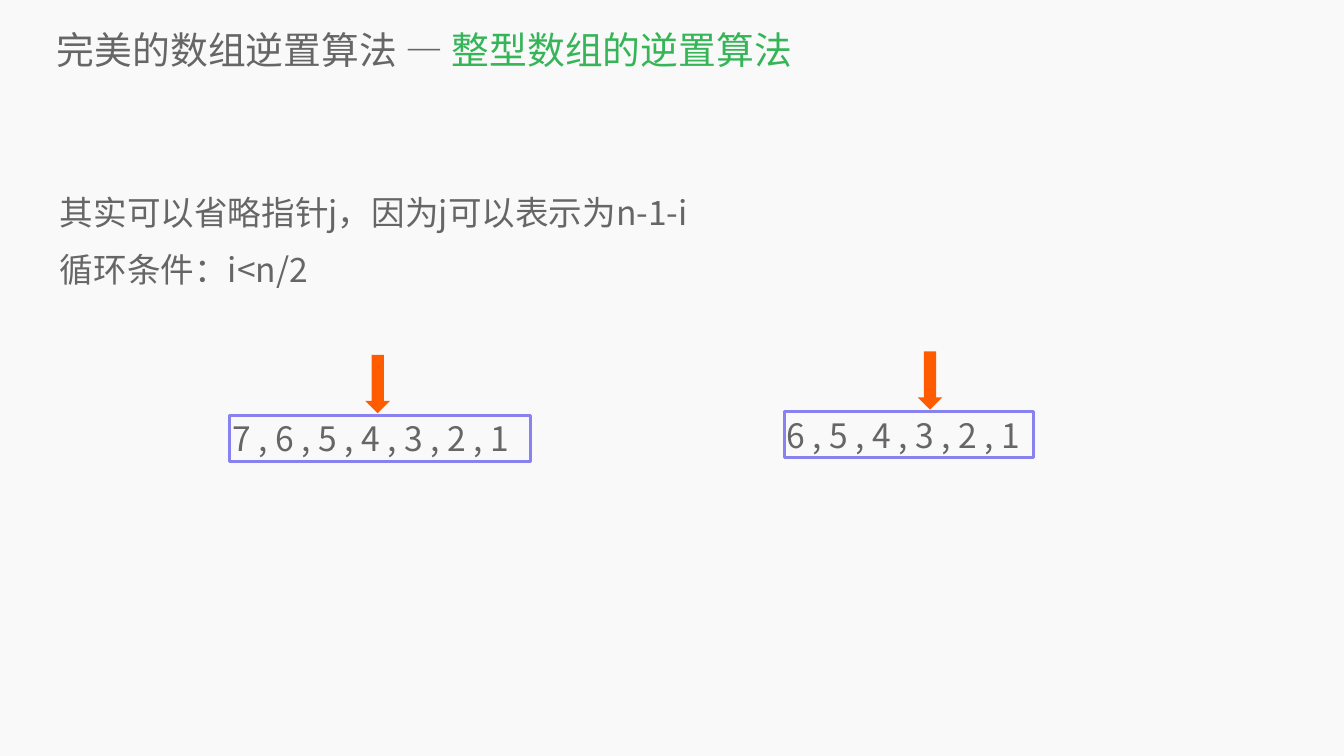
from pptx import Presentation
from pptx.dml.color import RGBColor
from pptx.enum.shapes import MSO_SHAPE
from pptx.enum.text import MSO_ANCHOR, PP_ALIGN
from pptx.util import Inches, Pt
from lxml import etree

RECTANGLE, DOWN_ARROW = MSO_SHAPE.RECTANGLE, MSO_SHAPE.DOWN_ARROW
TOP, MIDDLE, LEFT = MSO_ANCHOR.TOP, MSO_ANCHOR.MIDDLE, PP_ALIGN.LEFT
FONT = "Noto Sans CJK SC"
GREY, GREEN, PURPLE, ORANGE = "666666", "35B558", "8881F0", "FF5C00"
DRAWING = "{http://schemas.openxmlformats.org/drawingml/2006/main}"


def color(value):
    return RGBColor.from_string(value)


def format_text(text_frame, size, anchor, margin=0):
    text_frame.word_wrap = True
    text_frame.vertical_anchor = anchor
    text_frame.margin_left = text_frame.margin_right = Inches(margin)
    text_frame.margin_top = text_frame.margin_bottom = Inches(margin)
    for paragraph in text_frame.paragraphs:
        paragraph.alignment = LEFT
        for run in paragraph.runs:
            run.font.size = Pt(size)
            run.font.name = FONT
            run.font.color.rgb = color(GREY)
            # East Asian typeface
            etree.SubElement(run.font._element, DRAWING + "ea", typeface=FONT)


presentation = Presentation()
presentation.slide_width, presentation.slide_height = Inches(26.67), Inches(15)
slide = presentation.slides.add_slide(presentation.slide_layouts[6])
slide.background.fill.solid()
slide.background.fill.fore_color.rgb = color("F9F9F9")

# Title with a green topic
title = slide.shapes.add_textbox(Inches(1.13), Inches(0.47), Inches(25.16), Inches(1.02))
paragraph = title.text_frame.paragraphs[0]
paragraph.text = "完美的数组逆置算法 — "
topic = paragraph.add_run()
topic.text = "整型数组的逆置算法"
format_text(title.text_frame, 54, MIDDLE)
topic.font.color.rgb = color(GREEN)

# Explanation
body = slide.shapes.add_textbox(Inches(1.19), Inches(3.49), Inches(24.28), Inches(11.24))
body.text_frame.text = "其实可以省略指针j，因为j可以表示为n-1-i\n循环条件：i<n/2"
format_text(body.text_frame, 48, TOP)
for paragraph in body.text_frame.paragraphs:
    paragraph.line_spacing = 1.4

# Arrays of odd and even length, each with an arrow above its middle
arrays = [
    (4.56, 8.24, 5.97, 7.25, "7 , 6 , 5 , 4 , 3 , 2 , 1"),
    (15.56, 8.17, 4.95, 18.21, "6 , 5 , 4 , 3 , 2 , 1"),
]
for left, top, width, arrow_left, numbers in arrays:
    group = slide.shapes.add_group_shape()
    box = group.shapes.add_shape(RECTANGLE, Inches(left), Inches(top), Inches(width), Inches(0.91))
    box.shadow.inherit = False
    box.fill.background()
    box.line.color.rgb = color(PURPLE)
    box.line.width = Pt(4)
    box.text_frame.text = numbers
    format_text(box.text_frame, 48, MIDDLE, 0.05)

    arrow = group.shapes.add_shape(
        DOWN_ARROW, Inches(arrow_left), Inches(top - 1.2), Inches(0.49), Inches(1.16))
    arrow.shadow.inherit = False
    arrow.fill.solid()
    arrow.fill.fore_color.rgb = color(ORANGE)
    arrow.line.fill.background()

presentation.save("out.pptx")
